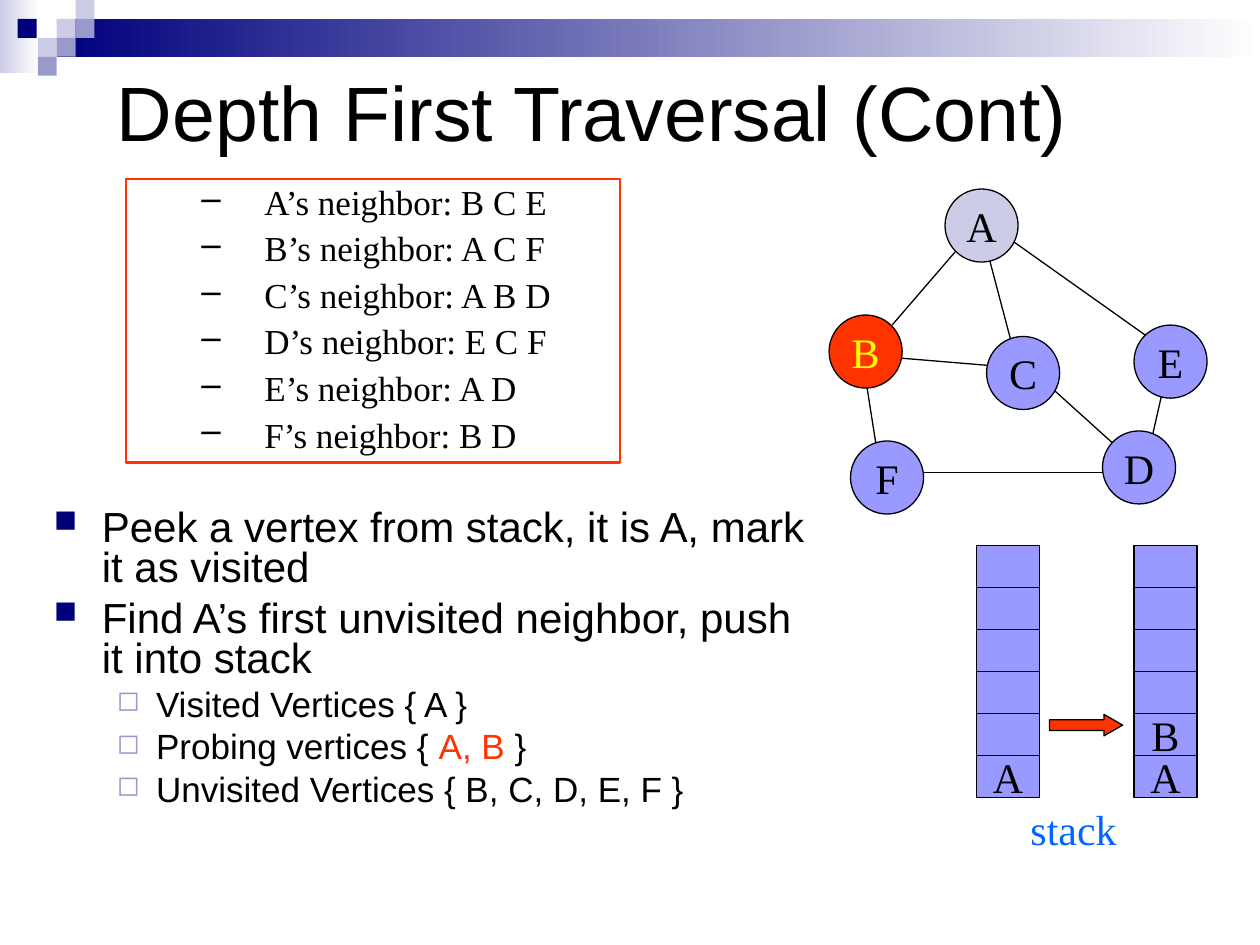
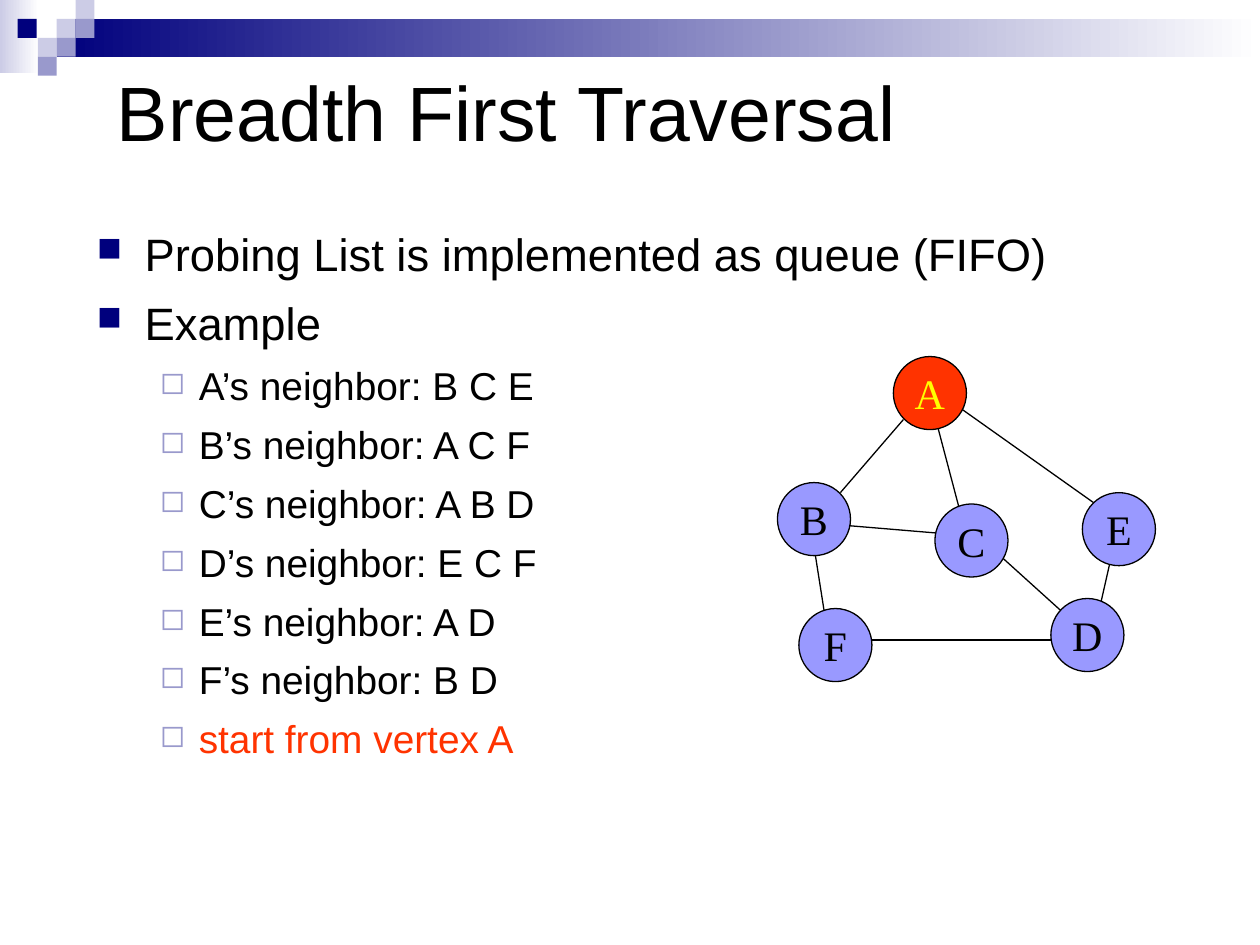
from lxml.etree import SubElement
from pptx import Presentation
from pptx.dml.color import RGBColor
from pptx.enum.shapes import MSO_CONNECTOR, MSO_SHAPE
from pptx.enum.text import MSO_ANCHOR, PP_ALIGN
from pptx.oxml.ns import qn
from pptx.util import Inches, Pt

BLACK = "000000"
WHITE = "FFFFFF"
NAVY = "00007D"
MIST = "CCCCE6"
LILAC = "9999CC"
BLUE = "9999FF"
RED = "FF3300"
YELLOW = "FFFF00"
SANS = "Arial"
SERIF = "Times New Roman"

UNIT = 0.15
TILES = [(0.45, 1, MIST), (0.6, 0, MIST), (0.6, 1, LILAC), (0.3, 2, MIST),
         (0.14, 1, NAVY), (0.45, 2, LILAC), (0.3, 3, LILAC)]

NODES = {"A": (0.92, 0), "B": (0, 1), "C": (1.25, 1.17),
         "E": (2.42, 1.08), "F": (0.17, 2), "D": (2.17, 1.92)}
EDGES = [(0.42, 1.33, 1.5, 1.42), (1, 0.5, 0.5, 1.08),
         (1.17, 0.17, 1.5, 1.42), (1.34, 0.33, 2.75, 1.33),
         (0.25, 1.25, 0.42, 2.33), (2.67, 1.5, 2.5, 2.25),
         (1.59, 1.42, 2.42, 2.17), (0.59, 2.25, 2.34, 2.25)]
LINKS = {"A": "B C E", "B": "A C F", "C": "A B D",
         "D": "E C F", "E": "A D", "F": "B D"}
NEAR = [f"{name}’s neighbor: {ends}" for name, ends in LINKS.items()]

MAIN = dict(char="■", tint=NAVY, scale=75, left=0.38, hang=0.38)
SUB = dict(char="◻", tint=LILAC, scale=80, left=0.81, hang=0.31)
DASH = dict(char="–", tint=BLACK, scale=100, left=1, hang=0.5)


def color(code):
    return RGBColor.from_string(code)


def style(font, size, name, ink):
    font.size = Pt(size)
    font.name = name
    font.color.rgb = color(ink)


def add_box(slide, kind, left, top, width, height, fill=None, line=None, weight=0.75):
    box = slide.shapes.add_shape(kind, Inches(left), Inches(top), Inches(width), Inches(height))
    box.shadow.inherit = False
    if fill:
        box.fill.solid()
        box.fill.fore_color.rgb = color(fill)
    else:
        box.fill.background()
    if line:
        box.line.color.rgb = color(line)
        box.line.width = Pt(weight)
    else:
        box.line.fill.background()
    return box


def add_fade(slide, left, top, width, height, start):
    box = add_box(slide, MSO_SHAPE.RECTANGLE, left, top, width, height)
    box.fill.gradient()
    box.fill.gradient_angle = 0
    for stop, code in zip(box.fill.gradient_stops, (start, WHITE)):
        stop.color.rgb = color(code)


def add_label(box, text, ink=BLACK):
    frame = box.text_frame
    frame.word_wrap = False
    frame.vertical_anchor = MSO_ANCHOR.MIDDLE
    para = frame.paragraphs[0]
    para.text = text
    para.alignment = PP_ALIGN.CENTER
    style(para.font, 24, SERIF, ink)


def add_text(slide, left, top, width, height):
    box = slide.shapes.add_textbox(Inches(left), Inches(top), Inches(width), Inches(height))
    box.text_frame.word_wrap = True
    return box.text_frame


def add_line(slide, x1, y1, x2, y2):
    line = slide.shapes.add_connector(
        MSO_CONNECTOR.STRAIGHT, Inches(x1), Inches(y1), Inches(x2), Inches(y2))
    line.line.color.rgb = color(BLACK)
    line.line.width = Pt(0.75)
    SubElement(line._element.spPr, qn("a:effectLst"))


def set_mark(para, char, tint, scale, left, hang):
    props = para._p.get_or_add_pPr()
    props.set("marL", str(Inches(left)))
    props.set("indent", str(-Inches(hang)))
    shade = SubElement(props, qn("a:buClr"))
    SubElement(shade, qn("a:srgbClr"), val=tint)
    SubElement(props, qn("a:buSzPct"), val=str(scale * 1000))
    SubElement(props, qn("a:buChar"), char=char)


def add_items(frame, items, mark, size, gap, space=1.0, name=SANS):
    for item in items:
        first = not frame.text
        para = frame.paragraphs[0] if first else frame.add_paragraph()
        parts = [(item, BLACK)] if isinstance(item, str) else item
        para.alignment = PP_ALIGN.LEFT
        para.line_spacing = space
        if not first:
            para.space_before = Pt(gap)
        set_mark(para, **mark)
        style(para.font, size, name, parts[0][1])
        for text, ink in parts:
            run = para.add_run()
            run.text = text
            if ink != parts[0][1]:
                run.font.color.rgb = color(ink)


def add_graph(slide, left, top, tones):
    for x1, y1, x2, y2 in EDGES:
        add_line(slide, left + x1, top + y1, left + x2, top + y2)
    for name, (x, y) in NODES.items():
        fill, ink = tones.get(name, (BLUE, BLACK))
        node = add_box(slide, MSO_SHAPE.OVAL, left + x, top + y, 0.58, 0.58, fill, BLACK)
        add_label(node, name, ink)


def add_stack(slide, left, names, count=6):
    for row in range(count):
        cell = add_box(slide, MSO_SHAPE.RECTANGLE, left, 4.33 + row / 3, 0.5, 1 / 3, BLUE, BLACK)
        place = row - count + len(names)
        if place >= 0:
            add_label(cell, names[place])


def add_page(deck, title):
    slide = deck.slides.add_slide(deck.slide_layouts[6])
    add_fade(slide, 0, 0, 0.31, 0.58, MIST)
    add_fade(slide, 0.45, UNIT, 9.55, 0.3, NAVY)
    for left, row, fill in TILES:
        add_box(slide, MSO_SHAPE.RECTANGLE, left, row * UNIT, UNIT, UNIT, fill)
    frame = add_text(slide, 0.83, 0.25, 8.5, 1.25)
    frame.vertical_anchor = MSO_ANCHOR.MIDDLE
    para = frame.paragraphs[0]
    para.text = title
    style(para.font, 44, SANS, BLACK)
    return slide


def add_depth(deck):
    slide = add_page(deck, "Depth First Traversal (Cont)")
    add_graph(slide, 6.58, 1.5, {"A": (MIST, BLACK), "B": (RED, YELLOW)})
    body = add_text(slide, 0.33, 4, 6.25, 2.5)
    add_items(body, ["Peek a vertex from stack, it is A, mark it as visited",
                     "Find A’s first unvisited neighbor, push it into stack"],
              MAIN, 24, 6, 0.8)
    add_items(body, ["Visited Vertices { A }",
                     [("Probing vertices { ", BLACK), ("A, B", RED), (" }", BLACK)],
                     "Unvisited Vertices { B, C, D, E, F }"],
              SUB, 20, 5, 0.8)
    panel = add_box(slide, MSO_SHAPE.RECTANGLE, 1, 1.42, 3.92, 2.25, line=RED, weight=1.5)
    panel.text_frame.vertical_anchor = MSO_ANCHOR.TOP
    add_items(panel.text_frame, NEAR, DASH, 20, 5, 0.9, SERIF)
    add_stack(slide, 7.75, "A")
    add_stack(slide, 9, "BA")
    arrow = add_box(slide, MSO_SHAPE.RIGHT_ARROW, 8.33, 5.67, 0.58, 0.17, RED, BLACK)
    arrow.adjustments[1] = 0.87
    para = add_text(slide, 8.08, 6.33, 0.92, 0.5).paragraphs[0]
    para.text = "stack"
    style(para.font, 24, SERIF, "0066FF")


def add_breadth(deck):
    slide = add_page(deck, "Breadth First Traversal")
    body = add_text(slide, 0.67, 1.75, 8.17, 4.83)
    add_items(body, ["Probing List is implemented as queue (FIFO)", "Example"], MAIN, 25.9, 8)
    add_items(body, NEAR + [[("start from vertex A", RED)]], SUB, 22.2, 7)
    add_graph(slide, 6.17, 2.83, {"A": (RED, YELLOW)})


def main():
    deck = Presentation()
    deck.slide_width = Inches(10)
    deck.slide_height = Inches(7.5)
    add_depth(deck)
    add_breadth(deck)
    deck.save("out.pptx")


if __name__ == "__main__":
    main()
